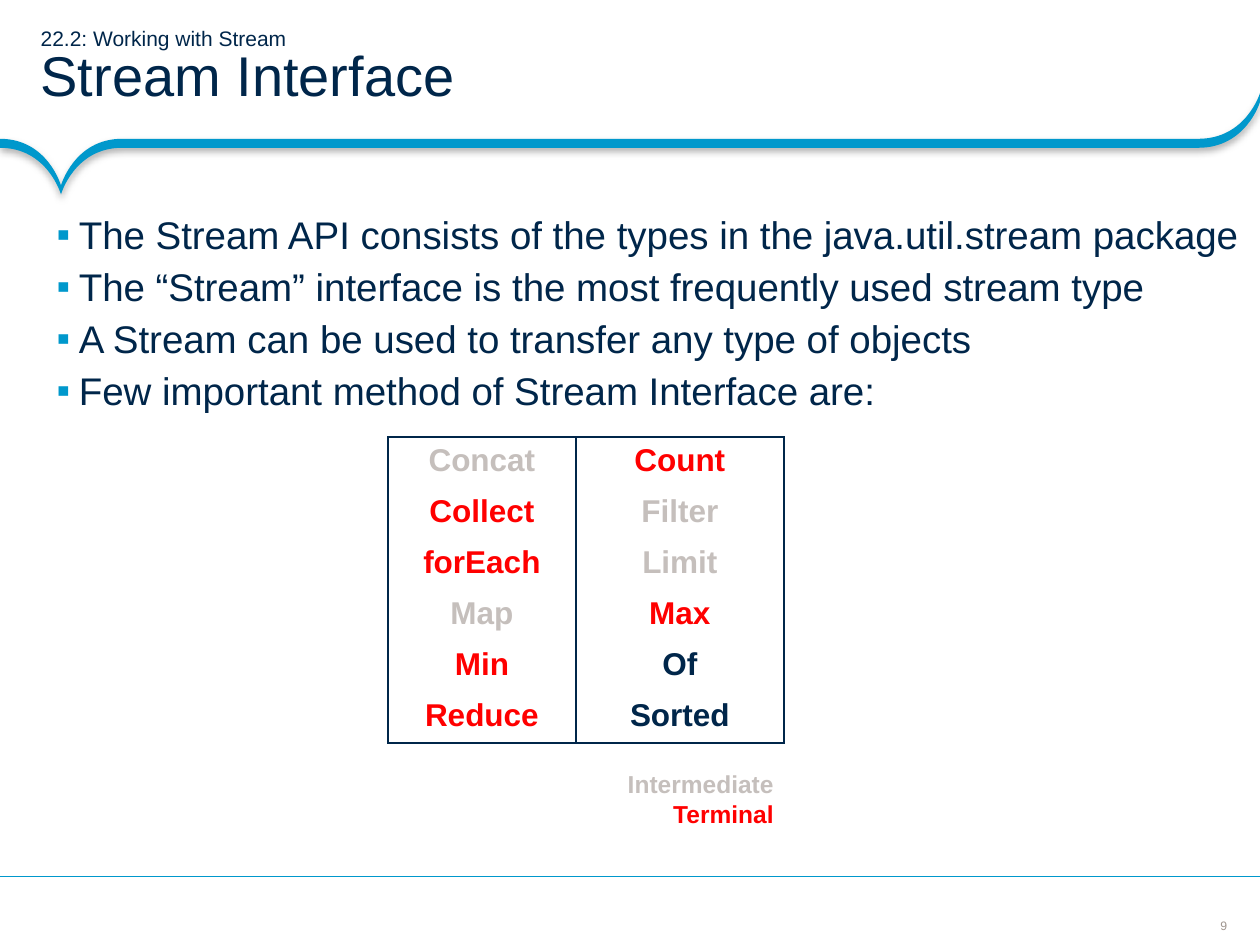
from dataclasses import dataclass

from lxml import etree
from pptx import Presentation
from pptx import util as u
from pptx.dml.color import RGBColor
from pptx.enum import shapes, text
from pptx.oxml import ns

NAVY = RGBColor(0x00, 0x26, 0x4A)
BLUE = RGBColor(0x00, 0x98, 0xCC)
RED = RGBColor(0xFF, 0x00, 0x00)
GREY = RGBColor(0xC5, 0xBF, 0xBC)
NUMBER_GREY = RGBColor(0x9F, 0x95, 0x8F)
FONT = "Arial"
NO_STYLE_NO_GRID = "{2D5ABB26-0587-4C30-8999-92F81FD0307C}"


@dataclass
class Label:
    text: str
    color: RGBColor


BULLETS = [
    "The Stream API consists of the types in the java.util.stream package",
    "The “Stream” interface is the most frequently used stream type",
    "A Stream can be used to transfer any type of objects",
    "Few important method of Stream Interface are:",
]
METHODS = [
    (Label("Concat", GREY), Label("Count", RED)),
    (Label("Collect", RED), Label("Filter", GREY)),
    (Label("forEach", RED), Label("Limit", GREY)),
    (Label("Map", GREY), Label("Max", RED)),
    (Label("Min", RED), Label("Of", NAVY)),
    (Label("Reduce", RED), Label("Sorted", NAVY)),
]
LEGEND = [Label("Intermediate", GREY), Label("Terminal", RED)]


# Helpers
def add_xml(parent, tag: str, **attributes: str):
    return etree.SubElement(parent, ns.qn(tag), attributes)


def place(shape, left: float, top: float, width: float, height: float) -> None:
    shape.left, shape.top = u.Cm(left), u.Cm(top)
    shape.width, shape.height = u.Cm(width), u.Cm(height)


def set_margins(frame, left: float, top: float, right: float, bottom: float) -> None:
    frame.margin_left, frame.margin_top = u.Cm(left), u.Cm(top)
    frame.margin_right, frame.margin_bottom = u.Cm(right), u.Cm(bottom)


def style(font, size: float, color: RGBColor, bold: bool = False) -> None:
    font.name, font.size, font.bold = FONT, u.Pt(size), bold
    font.color.rgb = color


def write_label(paragraph, label: Label, size: float, alignment) -> None:
    paragraph.text = label.text
    paragraph.alignment = alignment
    style(paragraph.font, size, label.color, bold=True)


def add_bullet(paragraph) -> None:
    """Add the bullet after the spacing elements and before the font."""
    properties = paragraph._p.get_or_add_pPr()
    properties.set("marL", str(u.Cm(0.45)))
    properties.set("indent", str(-u.Cm(0.45)))
    font = properties.find(ns.qn("a:defRPr"))
    color = etree.Element(ns.qn("a:buClr"))
    add_xml(color, "a:srgbClr", val=str(BLUE))
    font.addprevious(color)
    font.addprevious(etree.Element(ns.qn("a:buChar"), char="▪"))


# Ribbon under the title
def ribbon_outline() -> list:
    """Start point, then three points for each cubic curve."""
    top, bottom = 2.8, 2.98
    left, right, tip, dip = 2.46, 24.16, 1.23, 0.94
    low, high = (tip, bottom + dip - 0.18), (tip, bottom + dip)
    upper_end, lower_end = (25.4, 1.88), (25.4, 2.06)
    return [
        (right, top),
        *[(left, top)] * 3,
        (1.5, top), low, low,
        low, (0.96, top), (0, top),
        *[(0, bottom)] * 3,
        (0.96, bottom), high, high,
        high, (1.5, bottom), (left, bottom),
        *[(right, bottom)] * 3,
        (25.12, bottom), lower_end, lower_end,
        *[upper_end] * 3,
        upper_end, (25.12, top), (right, top),
    ]


def bend_segments(shape) -> None:
    """Turn each three line segments into one cubic curve."""
    lines = list(shape._element.iter(ns.qn("a:lnTo")))
    for index in range(0, len(lines), 3):
        curve = etree.Element(ns.qn("a:cubicBezTo"))
        lines[index].addprevious(curve)
        for line in lines[index:index + 3]:
            curve.append(line[0])
            line.getparent().remove(line)


def draw_ribbon(slide) -> None:
    points = [(u.Cm(x), u.Cm(y)) for x, y in ribbon_outline()]
    builder = slide.shapes.build_freeform(*points[0])
    builder.add_line_segments(points[1:], close=True)
    ribbon = builder.convert_to_shape()
    bend_segments(ribbon)
    ribbon.fill.solid()
    ribbon.fill.fore_color.rgb = BLUE
    ribbon.line.fill.background()
    ribbon.shadow.inherit = False
    effects = ribbon._element.spPr.find(ns.qn("a:effectLst"))
    shadow = add_xml(effects, "a:outerShdw", blurRad=str(u.Pt(4)), dist=str(u.Pt(2)),
                     dir="5400000", algn="t", rotWithShape="0")
    add_xml(add_xml(shadow, "a:srgbClr", val="000000"), "a:alpha", val="31000")


# Footer line and slide number
def draw_footer(slide) -> None:
    line = slide.shapes.add_connector(shapes.MSO_CONNECTOR.STRAIGHT,
                                      u.Cm(25.4), u.Cm(17.67), 0, u.Cm(17.67))
    line.line.color.rgb = BLUE
    line.line.width = u.Pt(0.75)
    add_xml(line._element.spPr, "a:effectLst")

    box = slide.shapes.add_textbox(u.Cm(24.52), u.Cm(18.51), u.Cm(0.3), u.Cm(0.3))
    frame = box.text_frame
    set_margins(frame, 0, 0, 0, 0)
    frame.word_wrap = False
    frame.vertical_anchor = text.MSO_ANCHOR.MIDDLE
    paragraph = frame.paragraphs[0]
    paragraph.text = "9"
    paragraph.alignment = text.PP_ALIGN.CENTER
    style(paragraph.font, 7, NUMBER_GREY)


# Title and list
def fill_title(title) -> None:
    place(title, 0, 0, 25.4, 2.78)
    frame = title.text_frame
    set_margins(frame, 0.82, 0.1, 0.45, 0.12)
    frame.auto_size = text.MSO_AUTO_SIZE.NONE
    frame.vertical_anchor = text.MSO_ANCHOR.MIDDLE
    paragraph = frame.paragraphs[0]
    paragraph.alignment = text.PP_ALIGN.LEFT
    paragraph.line_spacing = 0.85
    section = paragraph.add_run()
    section.text = "22.2: Working with Stream"
    style(section.font, 12, NAVY)
    paragraph.add_line_break()
    add_xml(paragraph._p.find(ns.qn("a:br")), "a:rPr", sz="1200")
    heading = paragraph.add_run()
    heading.text = "Stream Interface"
    style(heading.font, 32, NAVY)


def fill_body(body) -> None:
    place(body, 0.84, 4.15, 24.56, 12.9)
    frame = body.text_frame
    set_margins(frame, 0.3, 0.2, 0.2, 0.2)
    frame.auto_size = text.MSO_AUTO_SIZE.NONE
    for index, bullet in enumerate(BULLETS):
        paragraph = frame.add_paragraph() if index else frame.paragraphs[0]
        paragraph.text = bullet
        paragraph.line_spacing = 0.9
        paragraph.space_before, paragraph.space_after = u.Pt(0), u.Pt(6)
        style(paragraph.font, 22, NAVY)
        add_bullet(paragraph)


# Table of methods and its legend
def add_borders(cell, sides: str) -> None:
    properties = cell._tc.get_or_add_tcPr()
    for side in sides:
        line = add_xml(properties, f"a:ln{side}", w=str(u.Pt(1)))
        add_xml(add_xml(line, "a:solidFill"), "a:srgbClr", val=str(NAVY))


def draw_methods(slide) -> None:
    frame = slide.shapes.add_table(len(METHODS), 2, u.Cm(7.82), u.Cm(8.81),
                                   u.Cm(7.98), u.Cm(6.17))
    table = frame.table
    table.first_row = table.horz_banding = False
    table._tbl.tblPr.find(ns.qn("a:tableStyleId")).text = NO_STYLE_NO_GRID
    table.columns[0].width, table.columns[1].width = u.Cm(3.79), u.Cm(4.19)
    last = len(METHODS) - 1
    for row, labels in enumerate(METHODS):
        for column, label in enumerate(labels):
            cell = table.cell(row, column)
            write_label(cell.text_frame.paragraphs[0], label, 18, text.PP_ALIGN.CENTER)
            add_borders(cell, "LR" + "T" * (row == 0) + "B" * (row == last))
            cell.fill.background()


def draw_legend(slide) -> None:
    box = slide.shapes.add_textbox(u.Cm(12.37), u.Cm(15.38), u.Cm(3.48), u.Cm(1.45))
    frame = box.text_frame
    frame.word_wrap = False
    for index, label in enumerate(LEGEND):
        paragraph = frame.add_paragraph() if index else frame.paragraphs[0]
        write_label(paragraph, label, 14, text.PP_ALIGN.RIGHT)


def main() -> None:
    presentation = Presentation()
    presentation.slide_width, presentation.slide_height = u.Cm(25.4), u.Cm(19.05)
    slide = presentation.slides.add_slide(presentation.slide_layouts[1])
    draw_ribbon(slide)
    draw_footer(slide)
    fill_title(slide.shapes.title)
    fill_body(slide.placeholders[1])
    draw_methods(slide)
    draw_legend(slide)
    presentation.save("out.pptx")


if __name__ == "__main__":
    main()
